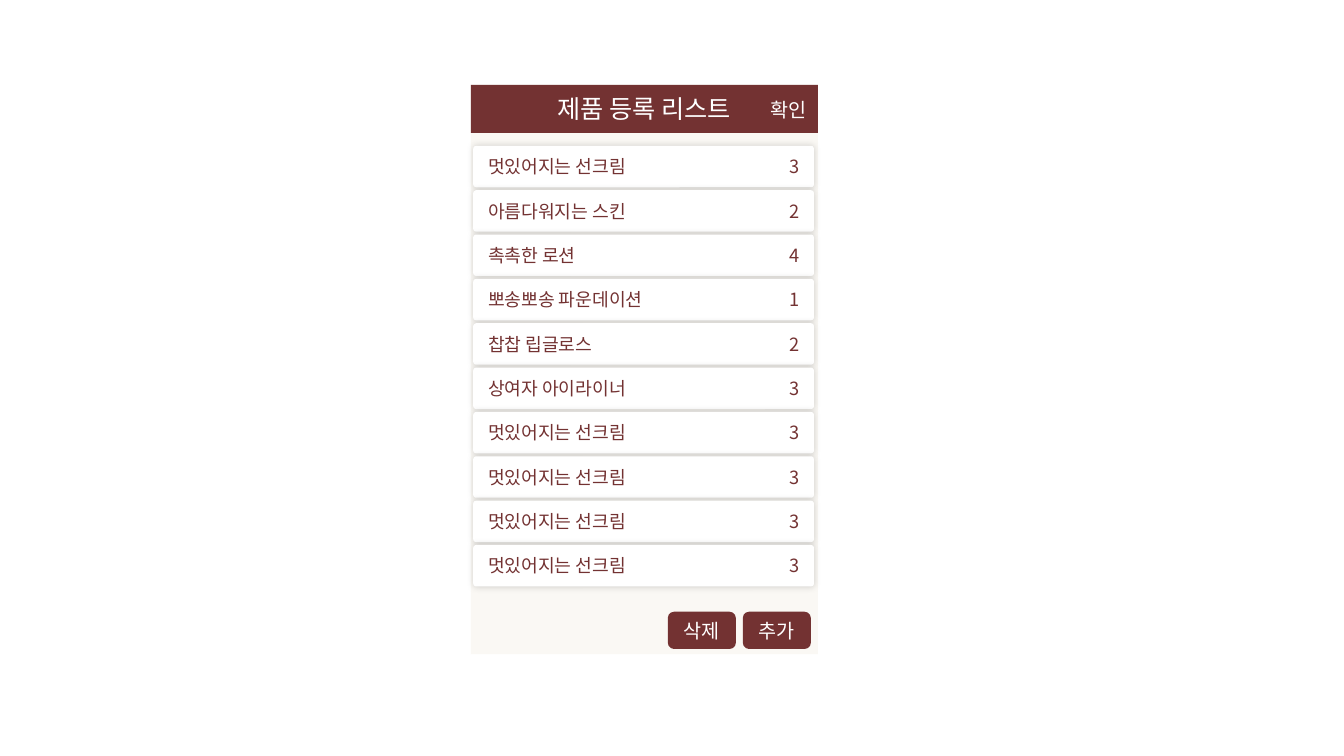
from lxml import etree
from pptx import Presentation
from pptx.dml.color import RGBColor
from pptx.enum.shapes import MSO_SHAPE
from pptx.enum.text import MSO_ANCHOR, PP_ALIGN
from pptx.oxml.ns import qn
from pptx.util import Pt

RECTANGLE = MSO_SHAPE.RECTANGLE
ROUNDED = MSO_SHAPE.ROUNDED_RECTANGLE
MIDDLE = MSO_ANCHOR.MIDDLE
LEFT, CENTER = PP_ALIGN.LEFT, PP_ALIGN.CENTER

FONT = "Noto Sans CJK KR"
MAROON, CREAM, WHITE, BLACK = "733232", "FAF8F4", "FFFFFF", "000000"

PANEL_LEFT, PANEL_TOP, PANEL_WIDTH, PANEL_HEIGHT = 336.4, 60.6, 247.8, 406.6
HEADER_HEIGHT = 34.4
ROW_LEFT, ROW_TOP, ROW_WIDTH, ROW_HEIGHT = 338, 104.2, 243.4, 29.6
ROW_PITCH = 31.68
ROW_INSET, COUNT_TAB = 10, 223
BUTTON_LEFT, BUTTON_TOP, BUTTON_WIDTH, BUTTON_HEIGHT = 477, 437, 48.6, 26.6
BUTTON_PITCH = 53.6

PRODUCTS = [
    ("멋있어지는 선크림", 3),
    ("아름다워지는 스킨", 2),
    ("촉촉한 로션", 4),
    ("뽀송뽀송 파운데이션", 1),
    ("찹찹 립글로스", 2),
    ("상여자 아이라이너", 3),
] + [("멋있어지는 선크림", 3)] * 4
BUTTONS = ["삭제", "추가"]


def color(value):
    """Turn a hex string into a colour."""
    return RGBColor.from_string(value)


def add_box(page, kind, left, top, width, height, fill):
    """Add a borderless, flat filled shape."""
    box = page.shapes.add_shape(kind, Pt(left), Pt(top), Pt(width), Pt(height))
    box.shadow.inherit = False
    box.fill.solid()
    box.fill.fore_color.rgb = color(fill)
    box.line.fill.background()
    return box


def write(box, text, size=14, ink=WHITE, align=CENTER, tab=None):
    """Write one line of text into a box, with an optional right tab stop."""
    frame = box.text_frame
    frame.vertical_anchor = MIDDLE
    para = frame.paragraphs[0]
    para.alignment = align
    if tab is not None:
        tabs = etree.SubElement(para._p.get_or_add_pPr(), qn("a:tabLst"))
        etree.SubElement(tabs, qn("a:tab"), pos=str(Pt(tab)), algn="r")
    span = para.add_run()
    span.text = text
    span.font.size = Pt(size)
    span.font.color.rgb = color(ink)
    span.font.name = FONT
    etree.SubElement(span.font._element, qn("a:ea"), typeface=FONT)


def add_glow_shadow(box, blur, opacity):
    """Give a box a soft shadow on all sides."""
    effects = box._element.spPr.find(qn("a:effectLst"))
    shadow = etree.SubElement(effects, qn("a:outerShdw"), blurRad=str(Pt(blur)),
                              dist="0", dir="0", algn="ctr", rotWithShape="0")
    tint = etree.SubElement(shadow, qn("a:srgbClr"), val=BLACK)
    etree.SubElement(tint, qn("a:alpha"), val=str(opacity * 1000))


def add_header(page):
    """Add the title bar with its confirm label."""
    header = add_box(page, RECTANGLE, PANEL_LEFT, PANEL_TOP, PANEL_WIDTH,
                     HEADER_HEIGHT, MAROON)
    write(header, "제품 등록 리스트", size=18)
    confirm = page.shapes.add_textbox(Pt(543), Pt(66.2), Pt(41), Pt(24.2))
    confirm.text_frame.word_wrap = True
    write(confirm, "확인", align=LEFT)


def add_product_row(page, index, name, count):
    """Add one product card with its count on the right."""
    row = add_box(page, ROUNDED, ROW_LEFT, ROW_TOP + index * ROW_PITCH,
                  ROW_WIDTH, ROW_HEIGHT, WHITE)
    row.adjustments[0] = 0.07
    add_glow_shadow(row, blur=5, opacity=16)
    row.text_frame.margin_left = Pt(ROW_INSET)
    row.text_frame.margin_right = Pt(ROW_INSET)
    write(row, f"{name}\t{count}", size=13, ink=MAROON, align=LEFT, tab=COUNT_TAB)


def add_button(page, index, label):
    """Add one button of the bottom bar."""
    button = add_box(page, ROUNDED, BUTTON_LEFT + index * BUTTON_PITCH, BUTTON_TOP,
                     BUTTON_WIDTH, BUTTON_HEIGHT, MAROON)
    write(button, label)


def main():
    """Build the product list screen."""
    deck = Presentation()
    deck.slide_width, deck.slide_height = Pt(960), Pt(540)
    page = deck.slides.add_slide(deck.slide_layouts[6])
    add_box(page, RECTANGLE, PANEL_LEFT, PANEL_TOP, PANEL_WIDTH, PANEL_HEIGHT, CREAM)
    add_header(page)
    for index, label in enumerate(BUTTONS):
        add_button(page, index, label)
    for index, (name, count) in enumerate(PRODUCTS):
        add_product_row(page, index, name, count)
    deck.save("out.pptx")


if __name__ == "__main__":
    main()
